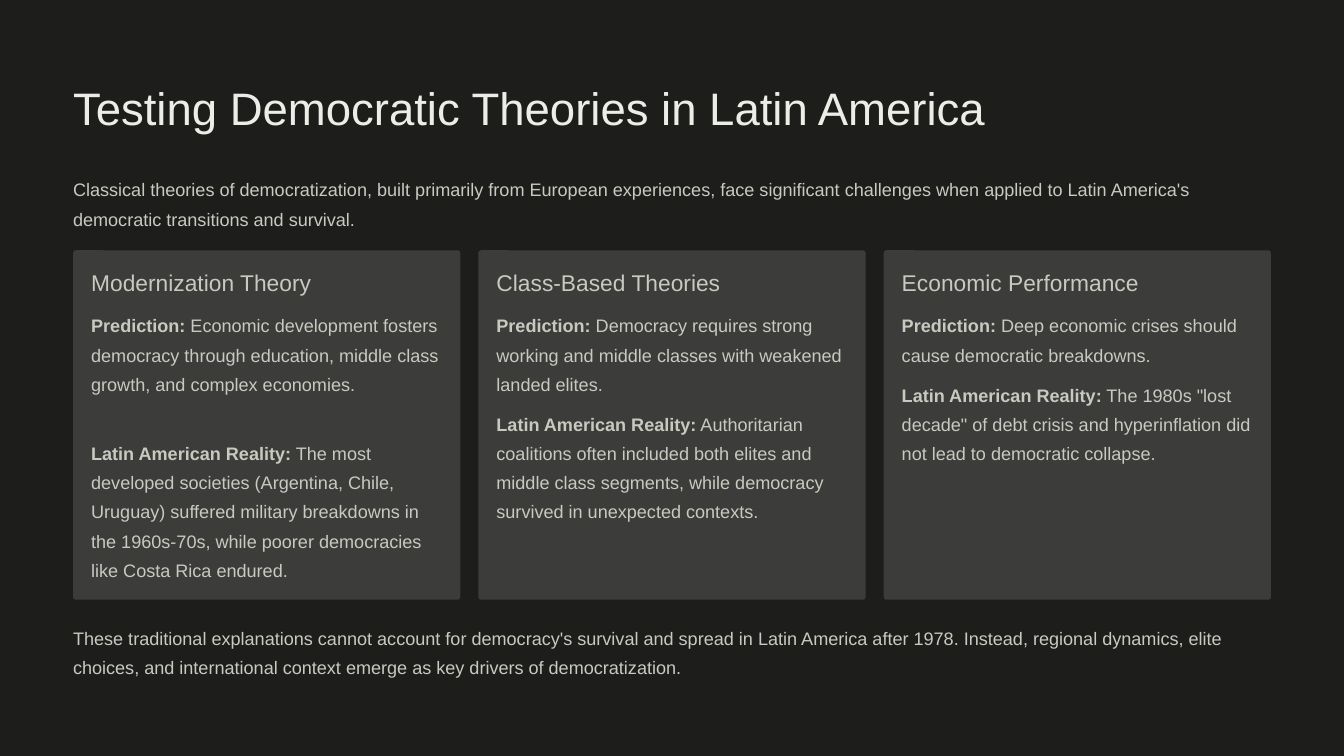
from dataclasses import dataclass

from pptx import Presentation
from pptx.dml.color import RGBColor
from pptx.enum.shapes import MSO_SHAPE
from pptx.enum.text import MSO_ANCHOR, MSO_AUTO_SIZE, PP_ALIGN
from pptx.util import Inches, Pt

ROUNDED = MSO_SHAPE.ROUNDED_RECTANGLE
TOP, LEFT, NO_FIT = MSO_ANCHOR.TOP, PP_ALIGN.LEFT, MSO_AUTO_SIZE.NONE

TITLE = "Testing Democratic Theories in Latin America"
INTRO = (
    "Classical theories of democratization, built primarily from European experiences, "
    "face significant challenges when applied to Latin America's democratic transitions "
    "and survival."
)
CLOSING = (
    "These traditional explanations cannot account for democracy's survival and spread in "
    "Latin America after 1978. Instead, regional dynamics, elite choices, and international "
    "context emerge as key drivers of democratization."
)
# Heading, then (label, text, lines of room) for each passage
THEORIES = [
    ("Modernization Theory", [
        ("Prediction:", " Economic development fosters democracy through education, "
         "middle class growth, and complex economies.", 4),
        ("Latin American Reality:", " The most developed societies (Argentina, Chile, "
         "Uruguay) suffered military breakdowns in the 1960s-70s, while poorer "
         "democracies like Costa Rica endured.", 5),
    ]),
    ("Class-Based Theories", [
        ("Prediction:", " Democracy requires strong working and middle classes with "
         "weakened landed elites.", 3),
        ("Latin American Reality:", " Authoritarian coalitions often included both elites "
         "and middle class segments, while democracy survived in unexpected contexts.", 5),
    ]),
    ("Economic Performance", [
        ("Prediction:", " Deep economic crises should cause democratic breakdowns.", 2),
        ("Latin American Reality:", ' The 1980s "lost decade" of debt crisis and '
         "hyperinflation did not lead to democratic collapse.", 4),
    ]),
]


@dataclass(frozen=True)
class TextStyle:
    size: float
    leading: float
    color: RGBColor


class Theme:
    font = "Arial"
    background = RGBColor.from_string("1D1D1B")
    card = RGBColor.from_string("3C3C3A")
    muted = RGBColor.from_string("C9C9C0")
    title = TextStyle(39, 48.5, RGBColor.from_string("EDEDE8"))
    heading = TextStyle(19.5, 24, muted)
    body = TextStyle(15.5, 25, muted)


# Lengths in inches
WIDTH, HEIGHT = 16, 9
MARGIN = 0.87
CONTENT_WIDTH = WIDTH - 2 * MARGIN
GAP, PADDING = 0.215, 0.215
CARD_WIDTH = (CONTENT_WIDTH - GAP * (len(THEORIES) - 1)) / len(THEORIES)
CARD_TOP, CARD_HEIGHT = 2.98, 4.16
HEADING_TOP, HEADING_HEIGHT = CARD_TOP + PADDING, 0.34
PASSAGE_TOP, PASSAGE_GAP = 3.66, 0.13
LINE = Theme.body.leading / 72


def write(box, area, style, text, label="", wrap=True):
    """Place a box and fill it with one paragraph, led by an optional bold label."""
    box.left, box.top, box.width, box.height = map(Inches, area)
    frame = box.text_frame
    frame.margin_left = frame.margin_right = frame.margin_top = frame.margin_bottom = 0
    frame.auto_size = NO_FIT
    frame.word_wrap = wrap
    frame.vertical_anchor = TOP
    para = frame.paragraphs[0]
    para.alignment = LEFT
    para.line_spacing = Pt(style.leading)
    para.font.name = Theme.font
    para.font.size = Pt(style.size)
    para.font.color.rgb = style.color
    if label:
        span = para.add_run()
        span.text = label
        span.font.bold = True
    para.add_run().text = text


def add_text(page, area, style, text, label="", wrap=True):
    write(page.shapes.add_textbox(0, 0, 0, 0), area, style, text, label, wrap)


def add_card(page, left, heading, passages):
    card = page.shapes.add_shape(
        ROUNDED, *map(Inches, (left, CARD_TOP, CARD_WIDTH, CARD_HEIGHT)))
    card.adjustments[0] = 0.008
    card.shadow.inherit = False
    card.fill.solid()
    card.fill.fore_color.rgb = Theme.card
    card.line.fill.background()

    text_left, text_width = left + PADDING, CARD_WIDTH - 2 * PADDING
    add_text(page, (text_left, HEADING_TOP, text_width, HEADING_HEIGHT),
             Theme.heading, heading, wrap=False)
    top = PASSAGE_TOP
    for label, text, lines in passages:
        add_text(page, (text_left, top, text_width, lines * LINE), Theme.body, text, label)
        top += lines * LINE + PASSAGE_GAP


def main():
    deck = Presentation()
    deck.slide_width, deck.slide_height = Inches(WIDTH), Inches(HEIGHT)
    page = deck.slides.add_slide(deck.slide_layouts.get_by_name("Title Only"))
    page.background.fill.solid()
    page.background.fill.fore_color.rgb = Theme.background

    write(page.shapes.title, (MARGIN, 0.93, CONTENT_WIDTH, 0.68),
          Theme.title, TITLE, wrap=False)
    add_text(page, (MARGIN, 2.04, CONTENT_WIDTH, 2 * LINE), Theme.body, INTRO)
    for column, (heading, passages) in enumerate(THEORIES):
        add_card(page, MARGIN + column * (CARD_WIDTH + GAP), heading, passages)
    add_text(page, (MARGIN, 7.38, CONTENT_WIDTH, 2 * LINE), Theme.body, CLOSING)
    deck.save("out.pptx")


if __name__ == "__main__":
    main()
